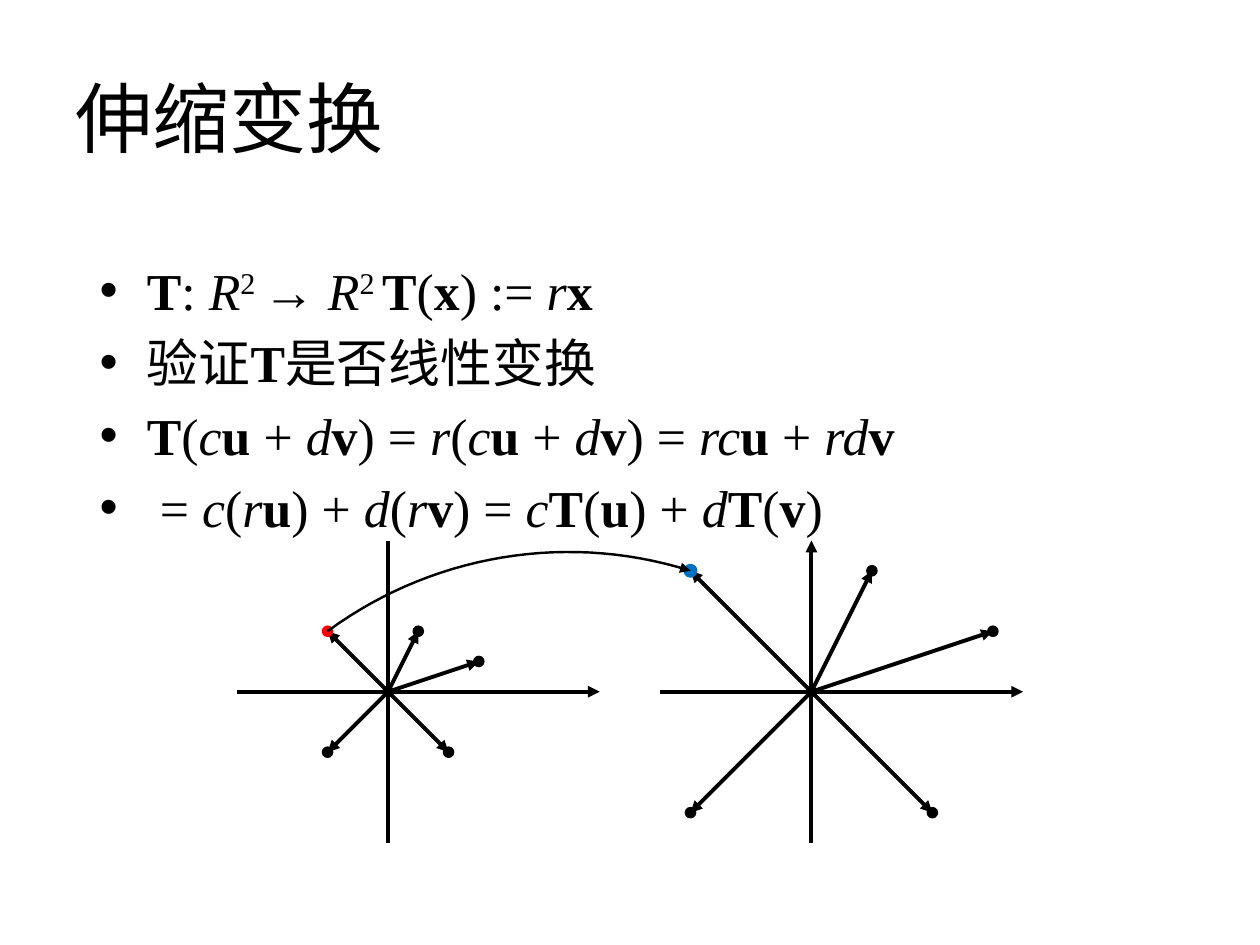
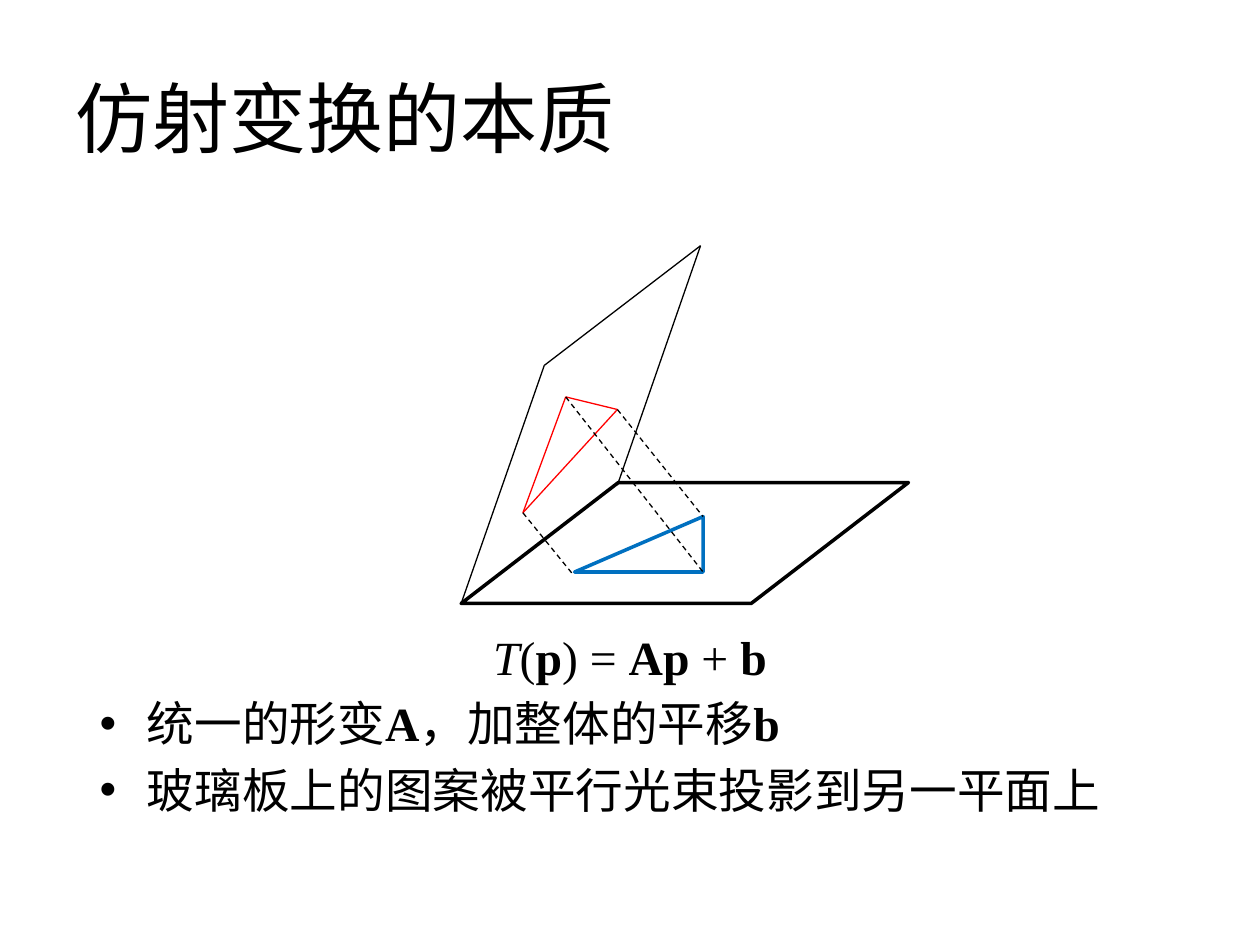
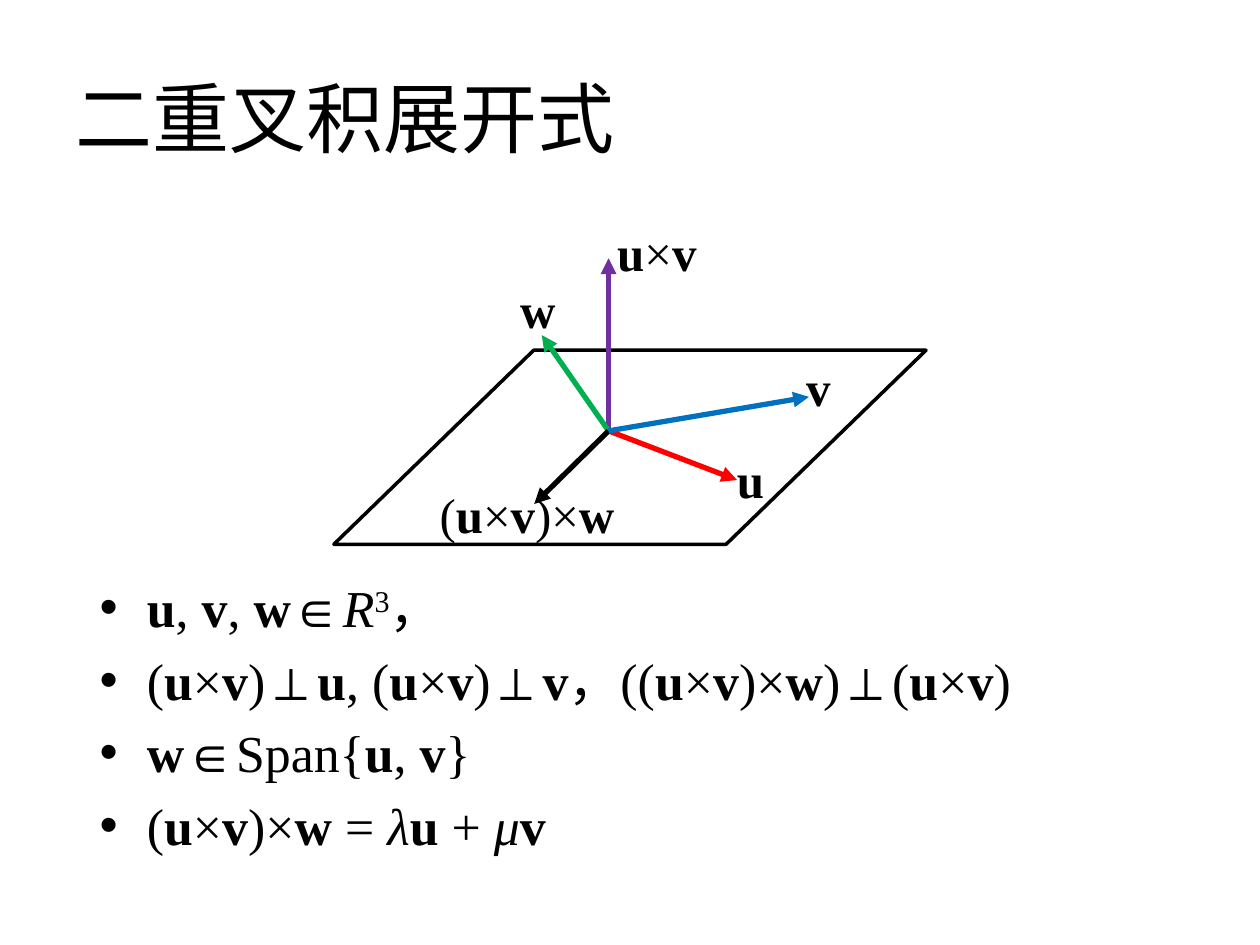
import itertools
import lxml.etree
import pptx
import pptx.dml.color
import pptx.enum.dml
import pptx.enum.shapes
import pptx.enum.text
import pptx.oxml.ns
import pptx.util

HUES = {"ink": "000000", "paper": "FFFFFF", "red": "FF0000", "blue": "0070C0",
        "green": "00B050", "violet": "7030A0"}
HAN, ROMAN = "Noto Sans CJK SC", "Times New Roman"
RGB = {name: pptx.dml.color.RGBColor.from_string(code) for name, code in HUES.items()}
KINDS = pptx.enum.shapes.MSO_SHAPE
FIT = pptx.enum.text.MSO_AUTO_SIZE
SIDE = pptx.enum.text.PP_ALIGN
qn = pptx.oxml.ns.qn

deck = pptx.Presentation()
deck.slide_width, deck.slide_height = pptx.util.Inches(10), pptx.util.Inches(7.5)
CELL = deck.slide_width / 100


def write(para, text, size, face=ROMAN):
    marks, live = "*_^", set()
    for mark in marks:
        text = text.replace(mark, f"|{mark}|")
    for part in filter(None, text.split("|")):
        if part in marks:
            live ^= {part}
            continue
        run = para.add_run()
        run.text = part
        style = {"name": face, "size": pptx.util.Pt(size), "bold": "*" in live, "italic": "_" in live}
        for key, value in style.items():
            setattr(run.font, key, value)
        run.font.color.rgb = RGB["ink"]
        props = run._r.get_or_add_rPr()
        if "^" in live:
            props.set("baseline", "30000")
        lxml.etree.SubElement(props, qn("a:ea"), typeface=HAN)


def paint(item, hue, wide, tip=None, dash=False):
    item.line.color.rgb = RGB[hue]
    item.line.width = pptx.util.Pt(wide)
    if dash:
        item.line.dash_style = pptx.enum.dml.MSO_LINE.DASH
    if tip:
        lxml.etree.SubElement(item.line._get_or_add_ln(), qn(f"a:{tip}"), type="triangle")
    lxml.etree.SubElement(item._element.spPr, qn("a:effectLst"))


STEP, MID = 2.4, 54.9
RAYS = [(3, -1), (1, -2), (-2, -2), (-2, 2), (2, 2)]
wires, dots = [], []
for mid, zoom, mark in [(30.8, 1, "red"), (64.4, 2, "blue")]:
    up = "tailEnd" if zoom == 2 else None
    wires.append((mid - 5 * STEP, MID, mid + 7 * STEP, MID, "ink", 2.25, "tailEnd"))
    wires.append((mid, MID + 5 * STEP, mid, MID - 5 * STEP, "ink", 2.25, up))
    dots.append((mid, MID, "ink", 0.88))
    for ray in RAYS:
        x, y = mid + ray[0] * zoom * STEP, MID + ray[1] * zoom * STEP
        hue = mark if ray == (-2, -2) else "ink"
        wires.append((mid, MID, x, y, "ink", 2.25, "tailEnd"))
        dots.append((x, y, hue, 2.25 if hue == "blue" else 0.88))

PANE = [(36.6, 47.9), (43.2, 29), (55.6, 19.5), (49, 38.5)]
GLASS = [(41.5, 40.7), (44.9, 31.5), (49, 32.5)]
FLOOR = [(45.4, 45.5), (55.8, 45.4), (55.8, 41)]
beams = [(*a, *b, "ink", 0.75) for a, b in itertools.pairwise(PANE)]
beams += [(*a, *b, "red", 0.75) for a, b in itertools.pairwise(GLASS + GLASS[:1])]
beams += [(*a, *b, "ink", 0.75, None, True) for a, b in zip(GLASS, FLOOR)]

HUB = (48.3, 34.2)
TIPS = [(58.5, 38.1, "red"), (48.3, 20.5, "violet"), (43, 26.6, "green"),
        (42.4, 40, "ink"), (64.2, 31.5, "blue")]

PAGES = [
    {"title": "伸缩变换", "top": 20, "tall": 22.3, "size": 29.6,
     "lines": ["*T*: _R_^2 ^→ _R_^2 ^*T*(*x*) := _r_*x*",
               "验证*T*是否线性变换",
               "*T*(_c_*u* + _d_*v*) = _r_(_c_*u* + _d_*v*) = _rc_*u* + _rd_*v*",
               " = _c_(_r_*u*) + _d_(_r_*v*) = _c_*T*(*u*) + _d_*T*(*v*)"],
     "wires": wires, "dots": dots, "arc": [(54.8, 45.3), (45, 42.2), (34.3, 44), (26, 50.1)]},
    {"title": "仿射变换的本质", "top": 49.3, "tall": 18.3, "size": 27.2, "formula": True,
     "lines": ["_T_(*p*) = *Ap* + *b*",
               "统一的形变*A*，加整体的平移*b*",
               "玻璃板上的图案被平行光束投影到另一平面上"],
     "forms": [(KINDS.PARALLELOGRAM, (36.6, 38.3, 35.5, 9.6), 1.3, "paper", "ink"),
               (KINDS.ISOSCELES_TRIANGLE, (45.6, 41, 10.2, 4.4), 1, None, "blue")],
     "wires": beams},
    {"title": "二重叉积展开式", "top": 45.2, "tall": 22.3, "size": 29.6,
     "lines": ["*u*, *v*, *w*∈_R_^3^，",
               "(*u*×*v*)⊥*u*, (*u*×*v*)⊥*v*，((*u*×*v*)×*w*)⊥(*u*×*v*)",
               "*w*∈Span{*u*, *v*}",
               "(*u*×*v*)×*w* = _λ_*u* + _μ_*v*"],
     "forms": [(KINDS.PARALLELOGRAM, (26.5, 27.8, 47, 15.4), 1.03, "paper", "ink")],
     "wires": [(*HUB, x, y, hue, 3, "tailEnd") for x, y, hue in TIPS],
     "labels": [("*u*", 57.5, 35.2, 4.2), ("*v*", 63, 27.9, 4), ("*u*×*v*", 48, 17.2, 8.9),
                ("*w*", 40.3, 21.7, 4.9), ("(*u*×*v*)×*w*", 33.9, 38, 17)]},
]

for page in PAGES:
    slide = deck.slides.add_slide(deck.slide_layouts[1])
    shapes = slide.shapes
    head, body = slide.placeholders
    spots = [(head, (5, 3, 90, 12.5)), (body, (6.9, page["top"], 86.2, page["tall"]))]
    for holder, spot in spots:
        for key, value in zip(("left", "top", "width", "height"), spot):
            setattr(holder, key, round(value * CELL))
        holder.text_frame.auto_size = FIT.NONE
    title = head.text_frame.paragraphs[0]
    title.alignment = SIDE.LEFT
    write(title, page["title"], 44, HAN)

    for rank, text in enumerate(page["lines"]):
        frame = body.text_frame
        para = frame.add_paragraph() if rank else frame.paragraphs[0]
        if page.get("formula") and rank == 0:
            para.alignment = SIDE.CENTER
            props = para._p.get_or_add_pPr()
            for key in ("marL", "indent"):
                props.set(key, "0")
            lxml.etree.SubElement(props, qn("a:buNone"))
        write(para, text, page["size"])

    for kind, box, bend, fill, hue in page.get("forms", []):
        form = shapes.add_shape(kind, *(round(v * CELL) for v in box))
        form.adjustments[0] = bend
        if fill:
            form.fill.solid()
            form.fill.fore_color.rgb = RGB[fill]
        else:
            form.fill.background()
        paint(form, hue, 2)

    for wire in page["wires"]:
        ends = (round(v * CELL) for v in wire[:4])
        paint(shapes.add_connector(pptx.enum.shapes.MSO_CONNECTOR.STRAIGHT, *ends), *wire[4:])

    for x, y, hue, wide in page.get("dots", []):
        dot = shapes.add_shape(KINDS.OVAL, *(round(v * CELL) for v in (x - 0.4, y - 0.4, 0.8, 0.8)))
        dot.fill.solid()
        dot.fill.fore_color.rgb = RGB[hue]
        paint(dot, hue, wide)

    if "arc" in page:
        curve = []
        for t in (n / 30 for n in range(31)):
            parts = ((1 - t) ** 3, 3 * t * (1 - t) ** 2, 3 * t * t * (1 - t), t ** 3)
            curve.append([CELL * sum(p * v for p, v in zip(parts, axis)) for axis in zip(*page["arc"])])
        pen = shapes.build_freeform(*curve[0])
        pen.add_line_segments(curve[1:], close=False)
        arc = pen.convert_to_shape()
        arc.fill.background()
        paint(arc, "ink", 1.38, "headEnd")

    for text, x, y, wide in page.get("labels", []):
        label = shapes.add_textbox(*(round(v * CELL) for v in (x, y, wide, 5.7)))
        label.text_frame.word_wrap = False
        label.text_frame.auto_size = FIT.SHAPE_TO_FIT_TEXT
        write(label.text_frame.paragraphs[0], text, 28)

deck.save("out.pptx")
